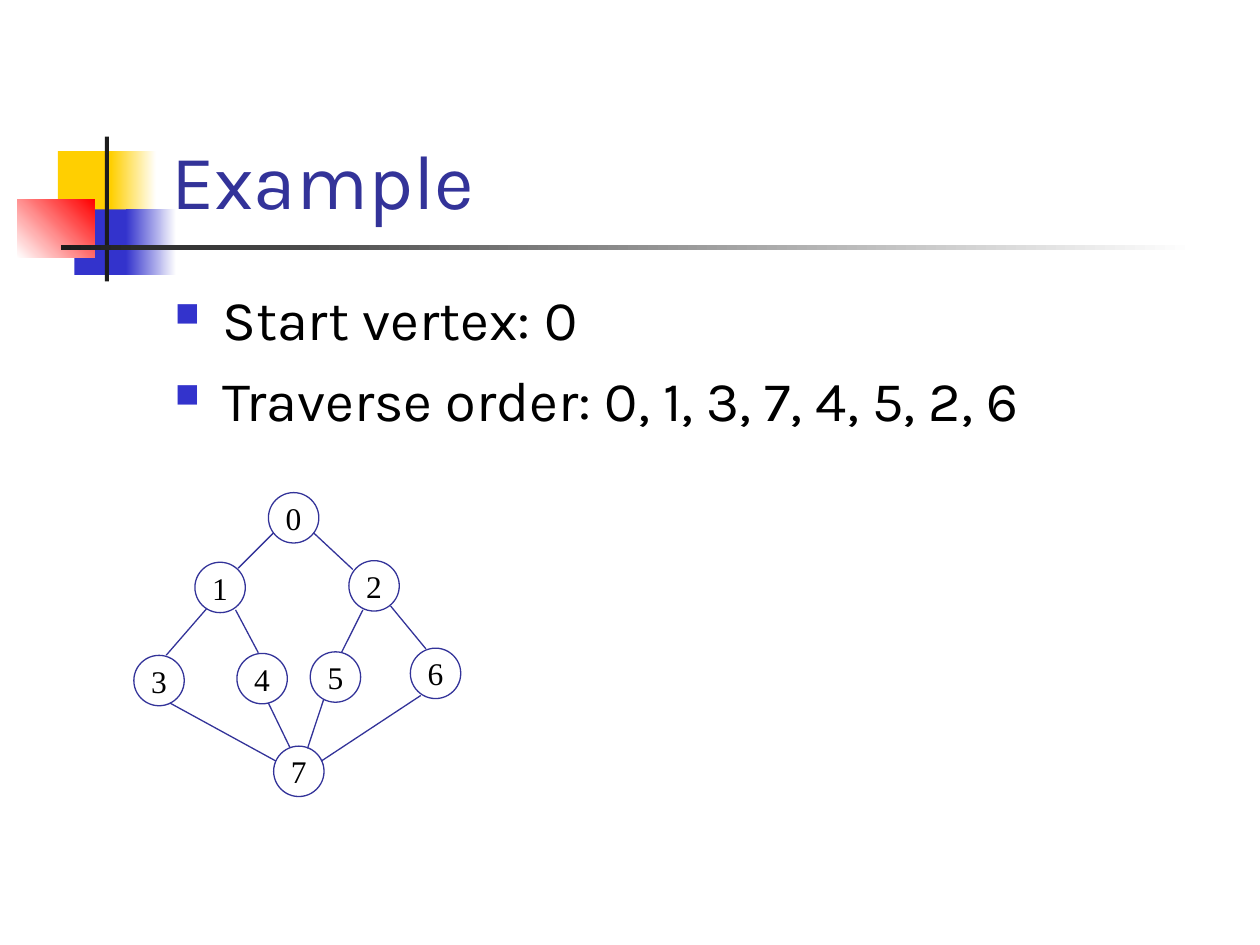
from lxml import etree
from pptx import Presentation
from pptx.dml.color import RGBColor
from pptx.enum.shapes import MSO_CONNECTOR, MSO_SHAPE
from pptx.enum.text import MSO_ANCHOR, PP_ALIGN
from pptx.oxml.ns import qn
from pptx.util import Pt

RECT, OVAL, LINE = MSO_SHAPE.RECTANGLE, MSO_SHAPE.OVAL, MSO_CONNECTOR.STRAIGHT
TOP, MIDDLE, BOTTOM = MSO_ANCHOR.TOP, MSO_ANCHOR.MIDDLE, MSO_ANCHOR.BOTTOM
LEFT, CENTER = PP_ALIGN.LEFT, PP_ALIGN.CENTER

COLORS = {"yellow": "FFCF01", "blue": "3333CC", "red": "FF0000", "white": "FFFFFF",
          "dark": "1C1C1C", "navy": "333399", "black": "000000"}

TITLE = "Example"
BULLETS = ["Start vertex: 0", "Traverse order: 0, 1, 3, 7, 4, 5, 2, 6"]

DECORATION = [
    ((33.1, 86.4, 34.6, 37.4), ["yellow"], 0),
    ((63.4, 86.4, 25.9, 37.4), ["yellow", "white"], 0),
    ((42.5, 119.7, 33.1, 37.4), ["blue"], 0),
    ((72, 119.7, 28.8, 37.4), ["blue", "white"], 0),
    ((9.8, 113.8, 44.2, 33.4), ["white", "red"], 45),
    ((59.9, 78, 2.4, 82.8), ["dark"], 0),
    ((34.8, 140.2, 648, 2.6), ["dark", "white"], 0),
]

NODE_SIZE = 28.8
NODES = {"0": (153.4, 281.5), "1": (111.4, 321.3), "2": (199.4, 320.4), "3": (76.5, 374.5),
         "4": (135.4, 373.4), "5": (177.3, 372.5), "6": (234.5, 370.4), "7": (156.4, 426.4)}

EDGES = [
    (156.2, 304.6, 136.1, 324.7),
    (179.3, 304.6, 201.6, 325.4),
    (118.1, 347.8, 95, 374.4),
    (134.6, 348.5, 147.6, 373),
    (207.4, 348.5, 195.1, 373),
    (223.2, 346.3, 243.4, 370.8),
    (153.4, 401.8, 165.6, 427),
    (185, 399.6, 175.7, 427.7),
    (97.2, 401.8, 157.7, 434.9),
    (240.5, 397.4, 183.6, 434.9),
]


def rgb(name):
    return RGBColor.from_string(COLORS[name])


def add_shape(s, kind, box):
    sp = s.shapes.add_shape(kind, *map(Pt, box))
    sp.shadow.inherit = False
    return sp


def write(sp, lines, font, size, color, anchor, align, gap=0):
    tf = sp.text_frame
    tf.word_wrap = True
    tf.vertical_anchor = anchor
    for i, line in enumerate(lines):
        p = tf.paragraphs[0] if i == 0 else tf.add_paragraph()
        p.alignment = align
        p.space_before = Pt(gap if i else 0)
        r = p.add_run()
        r.text = line
        for name, value in {"name": font, "size": Pt(size)}.items():
            setattr(r.font, name, value)
        r.font.color.rgb = rgb(color)
    return tf


def add_bullet(p):
    pPr = p._p.get_or_add_pPr()
    pPr.set("marL", str(Pt(27)))
    pPr.set("indent", str(-Pt(27)))
    color = etree.SubElement(pPr, qn("a:buClr"))
    etree.SubElement(color, qn("a:srgbClr"), val=COLORS["blue"])
    etree.SubElement(pPr, qn("a:buSzPct"), val="60000")
    etree.SubElement(pPr, qn("a:buChar"), char="■")


prs = Presentation()
prs.slide_width, prs.slide_height = Pt(720), Pt(540)
s = prs.slides.add_slide(prs.slide_layouts[6])

for box, fills, angle in DECORATION:
    sp = add_shape(s, RECT, box)
    sp.line.fill.background()
    if len(fills) == 1:
        sp.fill.solid()
        sp.fill.fore_color.rgb = rgb(fills[0])
    else:
        sp.fill.gradient()
        sp.fill.gradient_angle = angle
        for stop, name in zip(sp.fill.gradient_stops, fills):
            stop.color.rgb = rgb(name)

title = s.shapes.add_textbox(Pt(90.7), Pt(16.6), Pt(613.4), Pt(115.2))
write(title, [TITLE], "Karla", 44, "navy", BOTTOM, LEFT)

body = s.shapes.add_textbox(Pt(92.9), Pt(159.1), Pt(612), Pt(324))
for p in write(body, BULLETS, "Karla", 32, "black", TOP, LEFT, 8).paragraphs:
    add_bullet(p)

for label, corner in NODES.items():
    node = add_shape(s, OVAL, (*corner, NODE_SIZE, NODE_SIZE))
    node.fill.background()
    node.line.color.rgb = rgb("navy")
    node.line.width = Pt(0.75)
    tf = write(node, [label], "Times New Roman", 18, "black", MIDDLE, CENTER)
    for side, inset in {"left": 1.4, "right": 1.4, "top": 0.7, "bottom": 0.7}.items():
        setattr(tf, f"margin_{side}", Pt(inset))

for ends in EDGES:
    edge = s.shapes.add_connector(LINE, *map(Pt, ends))
    edge.line.color.rgb = rgb("navy")
    edge.line.width = Pt(0.75)
    etree.SubElement(edge._element.spPr, qn("a:effectLst"))

prs.save("out.pptx")
